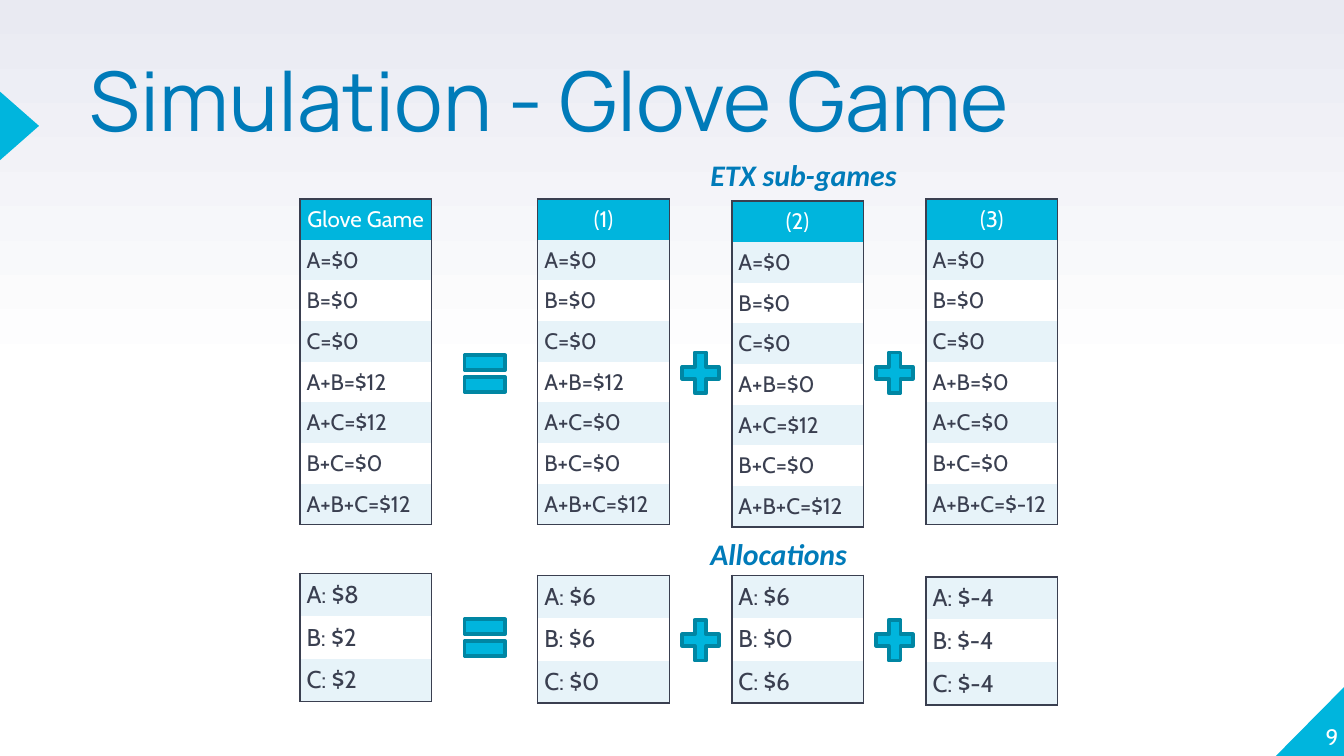
from lxml import etree
from pptx import Presentation
from pptx.dml.color import RGBColor
from pptx.enum import shapes, text
from pptx.oxml import ns
from pptx.util import Pt

CYAN, BLUE, DARK, PALE, WHITE = "00B5DD", "007BB9", "3A3F50", "E7F3F9", "FFFFFF"


def rgb(value):
    return RGBColor.from_string(value)


def write(frame, content, size, font, color, align=text.PP_ALIGN.LEFT):
    paragraph = frame.paragraphs[0]
    paragraph.alignment = align
    run = paragraph.add_run()
    run.text = content
    run.font.size = Pt(size)
    run.font.name = font
    run.font.color.rgb = rgb(color)
    return paragraph


presentation = Presentation()
presentation.slide_width = Pt(720)
presentation.slide_height = Pt(405)
slide = presentation.slides.add_slide(presentation.slide_layouts[6])

background = slide.background.fill
background.gradient()
background.gradient_angle = 90
for stop, (position, color) in zip(background.gradient_stops, [(0.5, WHITE), (1, "E9EAF2")]):
    stop.position = position
    stop.color.rgb = rgb(color)

corner = slide.shapes.add_shape(
    shapes.MSO_SHAPE.RIGHT_TRIANGLE, Pt(683.6), Pt(368.2), Pt(36.4), Pt(36.8))
corner.element.spPr.xfrm.set("flipH", "1")
pointer = slide.shapes.add_shape(
    shapes.MSO_SHAPE.ISOSCELES_TRIANGLE, Pt(-7.9), Pt(57), Pt(36.7), Pt(20.9))
pointer.rotation = 90
for shape in (corner, pointer):
    shape.shadow.inherit = False
    shape.fill.solid()
    shape.fill.fore_color.rgb = rgb(CYAN)
    shape.line.fill.background()

number = slide.shapes.add_textbox(Pt(681), Pt(365), Pt(36), Pt(36.7)).text_frame
number.vertical_anchor = text.MSO_ANCHOR.BOTTOM
write(number, "9", 12, "Cabin", WHITE, text.PP_ALIGN.RIGHT)
title = slide.shapes.add_textbox(Pt(48.2), Pt(36.7), Pt(504.7), Pt(85)).text_frame
write(title, "Simulation - Glove Game", 44, "Manrope", BLUE).line_spacing = 0.8
for frame in (number, title):
    frame.word_wrap = True
    frame.margin_left = frame.margin_right = frame.margin_top = frame.margin_bottom = 0

coalitions = ["A", "B", "C", "A+B", "A+C", "B+C", "A+B+C"]
games = [
    (160.6, 106.6, "Glove Game", [0, 0, 0, 12, 12, 0, 12], 307.3, [8, 2, 2]),
    (288, 106.6, "(1)", [0, 0, 0, 12, 0, 0, 12], 308.2, [6, 6, 0]),
    (392, 107.8, "(2)", [0, 0, 0, 0, 12, 0, 12], 308.2, [6, 0, 6]),
    (496, 106.6, "(3)", [0, 0, 0, 0, 0, 0, -12], 309, [-4, -4, -4]),
]
tables = []
for left, top, header, worths, share_top, shares in games:
    worth_rows = [f"{name}=${worth}" for name, worth in zip(coalitions, worths)]
    share_rows = [f"{name}: ${share}" for name, share in zip(coalitions, shares)]
    tables.append((left, top, [header] + worth_rows, 12, 21.8, True))
    tables.append((left, share_top, share_rows, 13, 22.8, False))

for left, top, rows, size, height, has_header in tables:
    table = slide.shapes.add_table(
        len(rows), 1, Pt(left), Pt(top), Pt(70.6), Pt(height * len(rows))).table
    table.first_row = table.horz_banding = False
    for index, content in enumerate(rows):
        table.rows[index].height = Pt(height)
        cell = table.cell(index, 0)
        cell.margin_left = cell.margin_right = cell.margin_top = cell.margin_bottom = Pt(3.6)
        is_header = has_header and index == 0
        write(cell.text_frame, content, size, "Cabin", WHITE if is_header else DARK,
              text.PP_ALIGN.CENTER if is_header else text.PP_ALIGN.LEFT)
        edges = {"lnL": True, "lnR": True, "lnT": index == 0, "lnB": index == len(rows) - 1}
        properties = cell._tc.get_or_add_tcPr()
        for edge, visible in edges.items():
            line = etree.SubElement(properties, ns.qn(f"a:{edge}"), w=str(Pt(1)))
            if visible:
                fill = etree.SubElement(line, ns.qn("a:solidFill"))
                etree.SubElement(fill, ns.qn("a:srgbClr"), val=DARK)
            else:
                etree.SubElement(line, ns.qn("a:noFill"))
        cell.fill.solid()
        body_color = PALE if (index - has_header) % 2 == 0 else WHITE
        cell.fill.fore_color.rgb = rgb(CYAN if is_header else body_color)

EQUAL, PLUS = shapes.MSO_SHAPE.MATH_EQUAL, shapes.MSO_SHAPE.MATH_PLUS
for equal_top, plus_top in [(183.6, 185), (325, 328.2)]:
    for kind, left, top, width, height in [
        (EQUAL, 245, equal_top, 29.5, 33.1),
        (PLUS, 362, plus_top, 26.6, 29.5),
        (PLUS, 466, plus_top, 26.6, 29.5),
    ]:
        operator = slide.shapes.add_shape(kind, Pt(left), Pt(top), Pt(width), Pt(height))
        operator.shadow.inherit = False
        operator.fill.solid()
        operator.fill.fore_color.rgb = rgb(CYAN)
        operator.line.color.rgb = rgb("0086A3")
        operator.line.width = Pt(2)

for content, left, top, width, align in [
    ("Allocations", 373.5, 283.6, 103, text.PP_ALIGN.LEFT),
    ("ETX sub-games", 331, 80.6, 199, text.PP_ALIGN.CENTER),
]:
    label = slide.shapes.add_textbox(Pt(left), Pt(top), Pt(width), Pt(26.7)).text_frame
    label.word_wrap = True
    label.auto_size = text.MSO_AUTO_SIZE.SHAPE_TO_FIT_TEXT
    paragraph = write(label, content, 16, "Calibri", BLUE, align)
    paragraph.runs[0].font.bold = paragraph.runs[0].font.italic = True

presentation.save("out.pptx")
